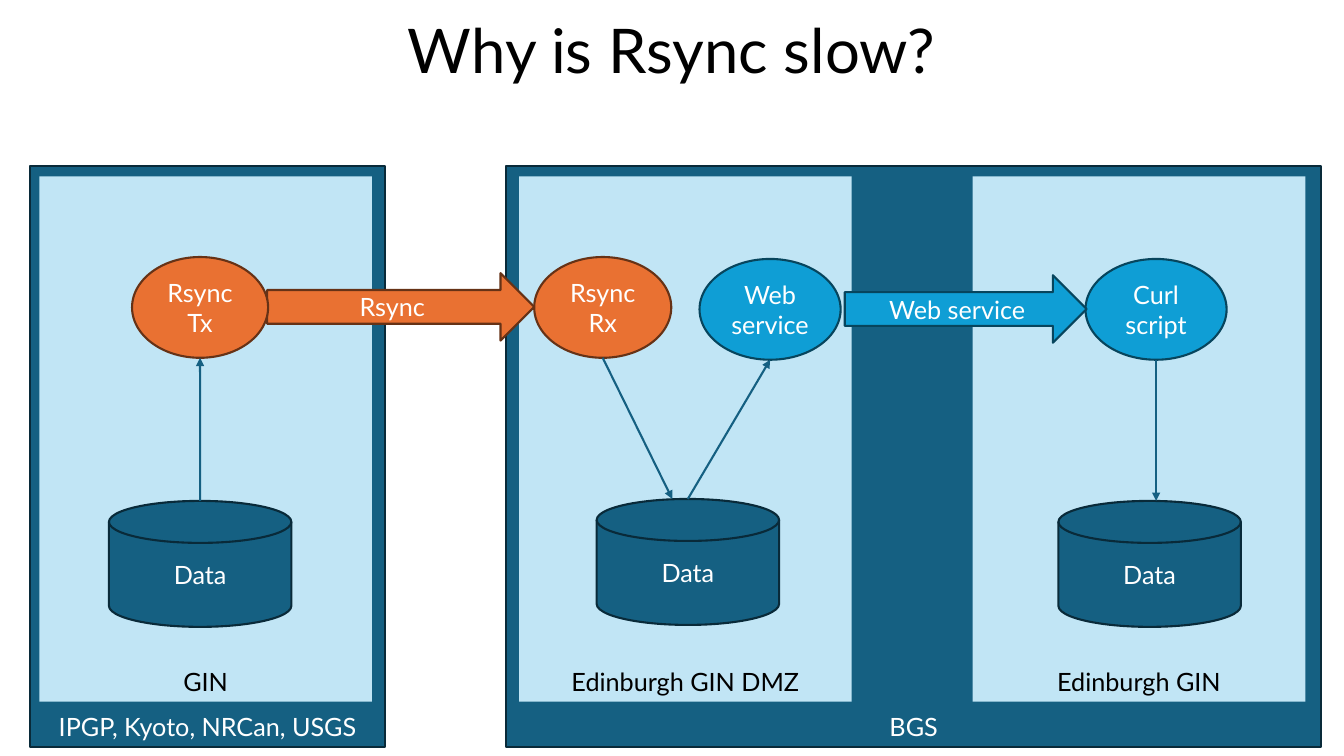
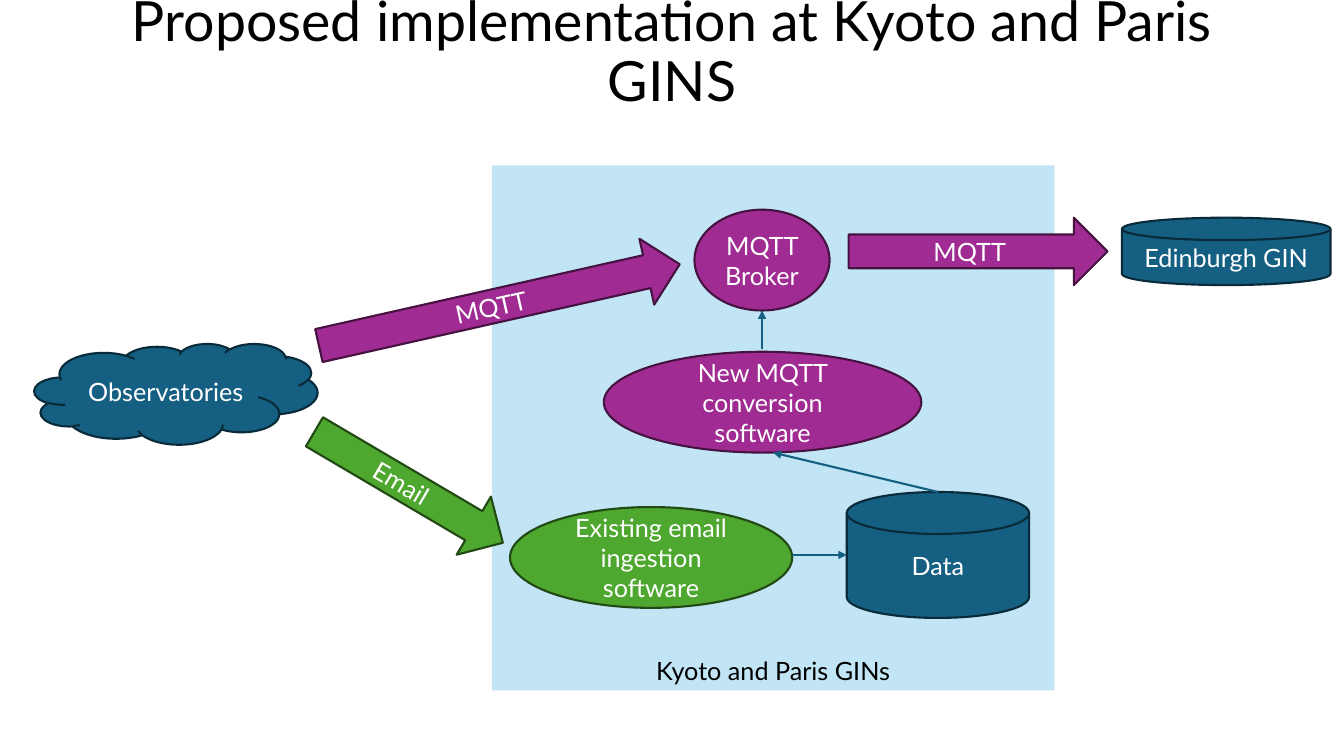
from dataclasses import dataclass

from lxml.etree import SubElement
from pptx import Presentation
from pptx.dml.color import RGBColor
from pptx.enum.shapes import MSO_CONNECTOR, MSO_SHAPE
from pptx.enum.text import MSO_ANCHOR, MSO_AUTO_SIZE, PP_ALIGN
from pptx.oxml.ns import qn
from pptx.util import Pt

FONT = "Lato"
COLORS = {
    "black": "000000",
    "white": "FFFFFF",
    "navy": "156082",
    "navy_edge": "092A39",
    "pale": "C1E5F5",
    "orange": "E97132",
    "orange_edge": "663216",
    "blue": "0F9ED5",
    "blue_edge": "07455D",
    "purple": "A02B93",
    "purple_edge": "461340",
    "green": "4EA72E",
    "green_edge": "224914",
}
LINE_W = 1.5
NODE_H = 72
ARROW_H = 48.2
DISK_W, DISK_H = 130.3, 90
PANEL_W, PANEL_H = 237.6, 375.1
SITE_Y, SITE_H = 118.8, 414.6


@dataclass(frozen=True)
class Node:
    text: str
    kind: MSO_SHAPE
    color: str
    x: float
    y: float
    w: float
    h: float
    rot: float = 0
    anchor: MSO_ANCHOR = MSO_ANCHOR.MIDDLE

    @property
    def cx(self) -> float:
        return self.x + self.w / 2

    @property
    def top(self) -> tuple[float, float]:
        return self.cx, self.y

    @property
    def bottom(self) -> tuple[float, float]:
        return self.cx, self.y + self.h


@dataclass(frozen=True)
class Link:
    start: tuple[float, float]
    end: tuple[float, float]


def site(text: str, x: float, w: float) -> Node:
    return Node(text, MSO_SHAPE.RECTANGLE, "navy", x, SITE_Y, w, SITE_H,
                anchor=MSO_ANCHOR.BOTTOM)


def panel(text: str, x: float, y: float = 126, w: float = PANEL_W) -> Node:
    return Node(text, MSO_SHAPE.RECTANGLE, "pale", x, y, w, PANEL_H,
                anchor=MSO_ANCHOR.BOTTOM)


def disk(text: str, x: float, y: float, w: float = DISK_W, h: float = DISK_H) -> Node:
    return Node(text, MSO_SHAPE.FLOWCHART_MAGNETIC_DISK, "navy", x, y, w, h)


def process(text: str, color: str, x: float, y: float, w: float) -> Node:
    return Node(text, MSO_SHAPE.OVAL, color, x, y, w, NODE_H)


def arrow(text: str, color: str, x: float, y: float, w: float, rot: float = 0) -> Node:
    return Node(text, MSO_SHAPE.RIGHT_ARROW, color, x, y, w, ARROW_H, rot)


def rgb(name: str) -> RGBColor:
    return RGBColor.from_string(COLORS[name])


def put_text(sp, text: str, *, size: float = 18, color: str = "white",
             anchor: MSO_ANCHOR = MSO_ANCHOR.MIDDLE, spacing: float = 1.0) -> None:
    tf = sp.text_frame
    tf.word_wrap = True
    tf.auto_size = MSO_AUTO_SIZE.NONE
    tf.vertical_anchor = anchor
    p = tf.paragraphs[0]
    p.alignment = PP_ALIGN.CENTER
    p.line_spacing = spacing
    r = p.add_run()
    r.text = text
    r.font.name = FONT
    r.font.size = Pt(size)
    r.font.color.rgb = rgb(color)


def draw_node(s, node: Node) -> None:
    sp = s.shapes.add_shape(node.kind, Pt(node.x), Pt(node.y), Pt(node.w), Pt(node.h))
    sp.shadow.inherit = False
    sp.rotation = node.rot
    sp.fill.solid()
    sp.fill.fore_color.rgb = rgb(node.color)
    is_panel = node.color == "pale"
    if is_panel:
        sp.line.fill.background()
    else:
        sp.line.color.rgb = rgb(f"{node.color}_edge")
        sp.line.width = Pt(LINE_W)
    put_text(sp, node.text, color="black" if is_panel else "white", anchor=node.anchor)


def draw_link(s, link: Link) -> None:
    ends = [Pt(v) for v in (*link.start, *link.end)]
    c = s.shapes.add_connector(MSO_CONNECTOR.STRAIGHT, *ends)
    c.line.color.rgb = rgb("navy")
    c.line.width = Pt(LINE_W)
    sp_pr = c._element.spPr
    SubElement(sp_pr.find(qn("a:ln")), qn("a:tailEnd"), type="triangle")
    SubElement(sp_pr, qn("a:effectLst"))


def add_diagram(prs, title: str, nodes: list[Node], links: list[Link],
                title_size: float = 44) -> None:
    s = prs.slides.add_slide(prs.slide_layouts[5])
    sp = s.shapes.title
    sp.left, sp.top, sp.width, sp.height = Pt(66), Pt(-1.4), Pt(828), Pt(79.2)
    put_text(sp, title, size=title_size, color="black", spacing=0.9)
    for node in nodes:
        draw_node(s, node)
    for link in links:
        draw_link(s, link)


def add_rsync_slide(prs) -> None:
    tx = process("Rsync Tx", "orange", 94.3, 183.6, 97.2)
    rx = process("Rsync Rx", "orange", 381.6, 183.6, 97.9)
    web = process("Web service", "blue", 499.7, 185, 100.8)
    curl = process("Curl script", "blue", 775.4, 185, 100.8)
    gin_data = disk("Data", 77.8, 357.8)
    dmz_data = disk("Data", 426.2, 356.4)
    edinburgh_data = disk("Data", 756, 357.8)
    nodes = [
        site("IPGP, Kyoto, NRCan, USGS", 21.6, 253.4),
        site("BGS", 361.4, 582.5),
        panel("GIN", 28.1),
        panel("Edinburgh GIN DMZ", 370.8),
        panel("Edinburgh GIN", 694.8),
        gin_data, edinburgh_data, dmz_data,
        arrow("Rsync", "orange", 190.8, 195.1, 190.8),
        rx, tx, web, curl,
        arrow("Web service", "blue", 603.4, 196.6, 172.8),
    ]
    links = [
        Link(gin_data.top, tx.bottom),
        Link(rx.bottom, (480.2, dmz_data.y)),
        Link(dmz_data.top, web.bottom),
        Link(curl.bottom, (curl.cx, edinburgh_data.y)),
    ]
    add_diagram(prs, "Why is Rsync slow?", nodes, links)


def add_proposal_slide(prs) -> None:
    broker = process("MQTT Broker", "purple", 496.1, 149.8, 96.5)
    conversion = process("New MQTT conversion software", "purple", 431.3, 251.3, 226.8)
    ingestion = process("Existing email ingestion software", "green", 364.3, 362.2, 201.6)
    data = disk("Data", 604.8, 351.4)
    nodes = [
        disk("Edinburgh GIN", 801.4, 155.5, 149, ARROW_H),
        Node("Observatories", MSO_SHAPE.CLOUD, "navy", 24.5, 245.5, 202.3, NODE_H),
        panel("Kyoto and Paris GINs", 351.4, 118.1, 401.8),
        data, broker,
        arrow("MQTT", "purple", 606.2, 155.5, 185),
        arrow("MQTT", "purple", 224.6, 193.7, 264.2, 347.3),
        ingestion,
        arrow("Email", "green", 213.8, 324, 156.2, 30.5),
        conversion,
    ]
    link_y = data.y + data.h / 2
    links = [
        Link((ingestion.x + ingestion.w, link_y), (data.x, link_y)),
        Link((broker.cx, 249.1), broker.bottom),
        Link(data.top, (552.2, conversion.y + conversion.h)),
    ]
    add_diagram(prs, "Proposed implementation at Kyoto and Paris GINS", nodes, links,
                title_size=39.6)


def main() -> None:
    prs = Presentation()
    prs.slide_width, prs.slide_height = Pt(960), Pt(540)
    add_rsync_slide(prs)
    add_proposal_slide(prs)
    prs.save("out.pptx")


if __name__ == "__main__":
    main()
